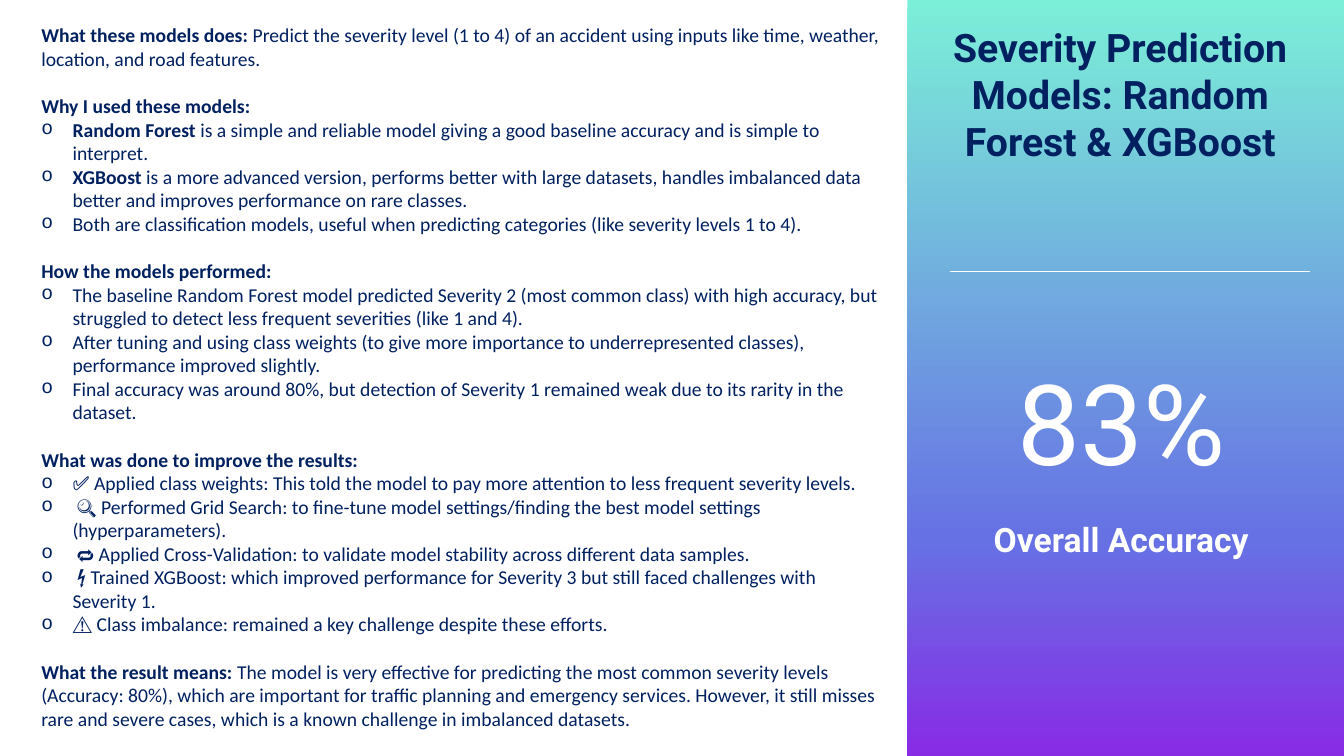
"""Build the slide on the severity prediction models and their accuracy."""
from copy import deepcopy
from lxml import etree
from pptx import Presentation
from pptx.dml.color import RGBColor
from pptx.enum import shapes, text
from pptx.oxml import ns
from pptx.util import Inches, Pt

NAVY = RGBColor(0x00, 0x20, 0x60)
WHITE = RGBColor(0xFF, 0xFF, 0xFF)
MINT = RGBColor(0x7C, 0xEF, 0xD8)
BLUE = RGBColor(0x66, 0x72, 0xE4)
PURPLE = RGBColor(0x88, 0x2B, 0xE5)

SECTIONS = [
    ("What these models does: ",
     "Predict the severity level (1 to 4) of an accident using inputs like time, weather, "
     "location, and road features.", []),
    ("Why I used these models:", "", [
        ("Random Forest ", "is a simple and reliable model giving a good baseline accuracy "
         "and is simple to interpret."),
        ("XGBoost ", "is a more advanced version, performs better with large datasets, handles "
         "imbalanced data better and improves performance on rare classes."),
        ("", "Both are classification models, useful when predicting categories "
         "(like severity levels 1 to 4)."),
    ]),
    ("How the models performed:", "", [
        ("", "The baseline Random Forest model predicted Severity 2 (most common class) with "
         "high accuracy, but struggled to detect less frequent severities (like 1 and 4)."),
        ("", "After tuning and using class weights (to give more importance to "
         "underrepresented classes), performance improved slightly."),
        ("", "Final accuracy was around 80%, but detection of Severity 1 remained weak due to "
         "its rarity in the dataset."),
    ]),
    ("What was done to improve the results:", "", [
        ("", "✅ Applied class weights: This told the model to pay more attention to less "
         "frequent severity levels."),
        ("", " 🔍 Performed Grid Search: to fine-tune model settings/finding the best model "
         "settings (hyperparameters)."),
        ("", " 🔁 Applied Cross-Validation: to validate model stability across different data "
         "samples."),
        ("", " ⚡ Trained XGBoost: which improved performance for Severity 3 but still faced "
         "challenges with Severity 1."),
        ("", "⚠️ Class imbalance: remained a key challenge despite these efforts."),
    ]),
    ("What the result means: ",
     "The model is very effective for predicting the most common severity levels "
     "(Accuracy: 80%), which are important for traffic planning and emergency services. "
     "However, it still misses rare and severe cases, which is a known challenge in "
     "imbalanced datasets.", []),
]


def write(para, words, size=14, font="Calibri", color=NAVY, bold=False):
    run = para.add_run()
    run.text = words
    run.font.size = Pt(size)
    run.font.name = font
    run.font.color.rgb = color
    run.font.bold = bold


def place(shape, left, top, width, height):
    shape.left, shape.top = Inches(left), Inches(top)
    shape.width, shape.height = Inches(width), Inches(height)
    frame = shape.text_frame
    frame.word_wrap = True
    frame.auto_size = text.MSO_AUTO_SIZE.SHAPE_TO_FIT_TEXT
    frame.vertical_anchor = text.MSO_ANCHOR.TOP
    frame.margin_left = frame.margin_right = frame.margin_top = frame.margin_bottom = 0
    return frame


prs = Presentation()
prs.slide_width, prs.slide_height = Inches(13.33), Inches(7.5)
slide = prs.slides.add_slide(prs.slide_layouts[5])
title = slide.shapes.title

panel = slide.shapes.add_shape(
    shapes.MSO_SHAPE.RECTANGLE, Inches(9), 0, Inches(4.33), Inches(7.5))
panel.shadow.inherit = False
panel.line.fill.background()
panel.fill.gradient()
panel.fill.gradient_angle = 270
stops = panel.element.spPr.find(".//" + ns.qn("a:gsLst"))
stops.append(deepcopy(stops[0]))
for stop, (spot, color) in zip(
        panel.fill.gradient_stops, [(0, MINT), (0.71, BLUE), (1, PURPLE)]):
    stop.position = spot
    stop.color.rgb = color
title.element.addprevious(panel.element)

para = place(title, 9.12, 0.23, 3.98, 1.41).paragraphs[0]
para.alignment = text.PP_ALIGN.CENTER
write(para, "Severity Prediction Models: Random Forest & XGBoost",
      size=28, font="Roboto", bold=True)

for words, top, height, size, bold, pitch in [
        ("83%", 3.51, 1.38, 80, False, 1.0),
        ("Overall Accuracy", 4.99, 0.71, 24, True, Pt(40))]:
    box = slide.shapes.add_textbox(0, 0, 0, 0)
    para = place(box, 9.74, top, 2.76, height).paragraphs[0]
    para.alignment = text.PP_ALIGN.CENTER
    para.line_spacing = pitch
    write(para, words, size=size, font="Roboto", color=WHITE, bold=bold)

body = place(slide.shapes.add_textbox(0, 0, 0, 0), 0.41, 0.23, 8.37, 7.3)
for num, (head, rest, points) in enumerate(SECTIONS):
    para = body.add_paragraph() if num else body.paragraphs[0]
    if num:
        para.space_before = Pt(17)
    write(para, head, bold=True)
    if rest:
        write(para, rest)
    for lead, words in points:
        para = body.add_paragraph()
        props = para._p.get_or_add_pPr()
        props.set("marL", str(Inches(0.31)))
        props.set("indent", str(-Inches(0.31)))
        etree.SubElement(props, ns.qn("a:buFont")).set("typeface", "Courier New")
        etree.SubElement(props, ns.qn("a:buChar")).set("char", "o")
        if lead:
            write(para, lead, bold=True)
        write(para, words)

rule = slide.shapes.add_connector(
    shapes.MSO_CONNECTOR.STRAIGHT, Inches(9.42), Inches(2.69), Inches(12.99), Inches(2.69))
rule.line.color.rgb = WHITE
rule.line.width = Pt(0.5)
etree.SubElement(rule.element.spPr, ns.qn("a:effectLst"))

prs.save("out.pptx")
